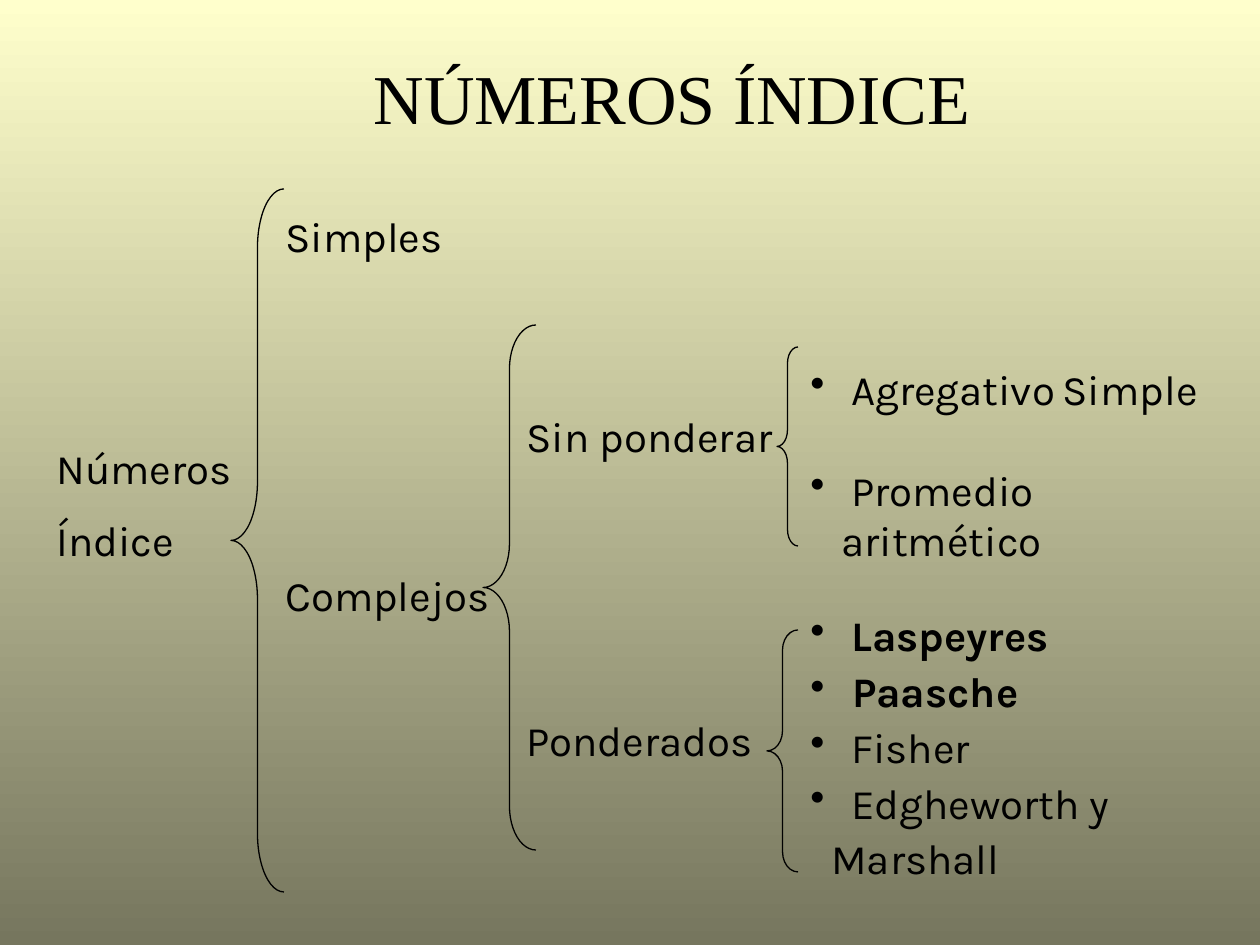
from lxml import etree
from pptx import Presentation
from pptx.dml.color import RGBColor
from pptx.enum.shapes import MSO_SHAPE
from pptx.enum.text import MSO_ANCHOR, PP_ALIGN
from pptx.oxml.ns import qn
from pptx.util import Pt

EMU_PER_PX = 914400 / 126
BRACE = MSO_SHAPE.LEFT_BRACE
CENTER, LEFT = PP_ALIGN.CENTER, PP_ALIGN.LEFT
MIDDLE, TOP = MSO_ANCHOR.MIDDLE, MSO_ANCHOR.TOP
COLORS = {"ink": "000000", "sky": "FFFFCC", "ground": "76765E"}


def px(n):
    return round(n * EMU_PER_PX)


def para(*runs, before=15, spacing=0.9, bullet=False, indent=0, align=LEFT):
    return dict(runs=[r if isinstance(r, tuple) else (r, {}) for r in runs],
                before=before, spacing=spacing, bullet=bullet, indent=indent, align=align)


class Slide:
    font = "Karla"
    size = 24

    def __init__(self, prs):
        self.s = prs.slides.add_slide(prs.slide_layouts[6])

    def color(self, name):
        return RGBColor.from_string(COLORS[name])

    def background(self, top, bottom):
        fill = self.s.background.fill
        fill.gradient()
        fill.gradient_angle = 270
        for stop, name, position in zip(fill.gradient_stops, (top, bottom), (0, 1)):
            stop.color.rgb = self.color(name)
            stop.position = position

    def run(self, p, text, size=None, bold=False, font=None):
        r = p.add_run()
        r.text = text
        r.font.name = font or self.font
        r.font.size = Pt(size or self.size)
        r.font.bold = bold
        r.font.color.rgb = self.color("ink")

    def text(self, x, y, w, h, paras, anchor=TOP):
        tf = self.s.shapes.add_textbox(*map(px, (x, y, w, h))).text_frame
        tf.word_wrap = True
        tf.vertical_anchor = anchor
        for i, item in enumerate(paras):
            p = tf.add_paragraph() if i else tf.paragraphs[0]
            p.alignment = item["align"]
            p.line_spacing = item["spacing"]
            p.space_before = Pt(item["before"])
            pPr = p._p.get_or_add_pPr()
            pPr.set("marL", str(px(item["indent"])))
            pPr.set("indent", str(-px(item["indent"]) if item["bullet"] else 0))
            if item["bullet"]:
                etree.SubElement(pPr, qn("a:buChar")).set("char", "•")
            for text, style in item["runs"]:
                self.run(p, text, **style)

    def brace(self, x, y, w, h):
        sp = self.s.shapes.add_shape(BRACE, *map(px, (x, y, w, h)))
        sp.shadow.inherit = False
        sp.fill.background()
        sp.line.color.rgb = self.color("ink")
        sp.line.width = Pt(0.75)
        sp.adjustments[0] = h / 12 / w
        sp.adjustments[1] = 0.5


def item(*runs, **style):
    return para(*runs, bullet=True, indent=31, **style)


def main():
    prs = Presentation()
    prs.slide_width, prs.slide_height = px(1260), px(945)
    s = Slide(prs)
    s.background("sky", "ground")

    title = ("NÚMEROS ÍNDICE", dict(size=40, font="Times New Roman"))
    s.text(164, 35, 1016, 123, [para(title, before=0, spacing=1.0, align=CENTER)], MIDDLE)

    s.text(44, 442, 273, 130, [para("Números"), para("Índice")])
    s.text(273, 210, 242, 488, [para("Simples"), para("Complejos", before=179)])
    s.text(514, 410, 286, 115, [para("Sin ponderar", before=6)])
    s.text(514, 714, 294, 58, [para("Ponderados")])

    bold = dict(bold=True)
    s.text(798, 609, 431, 282, [
        item(" ", ("Laspeyres", bold), before=6),
        item((" Paasche", bold), before=6),
        item(" Fisher", before=6),
        item(" Edgheworth y", before=6),
        para("Marshall", before=6, indent=21),
    ])
    s.text(798, 357, 431, 214, [
        item(" Agregativo", (" ", dict(size=18)), "Simple", before=0, spacing=1.0),
        item(" Promedio aritmético", before=29, spacing=1.0),
    ])

    for box in ((231, 189, 53, 703), (483, 325, 53, 525),
                (777, 347, 21, 199), (767, 630, 31, 242)):
        s.brace(*box)

    prs.save("out.pptx")


if __name__ == "__main__":
    main()
